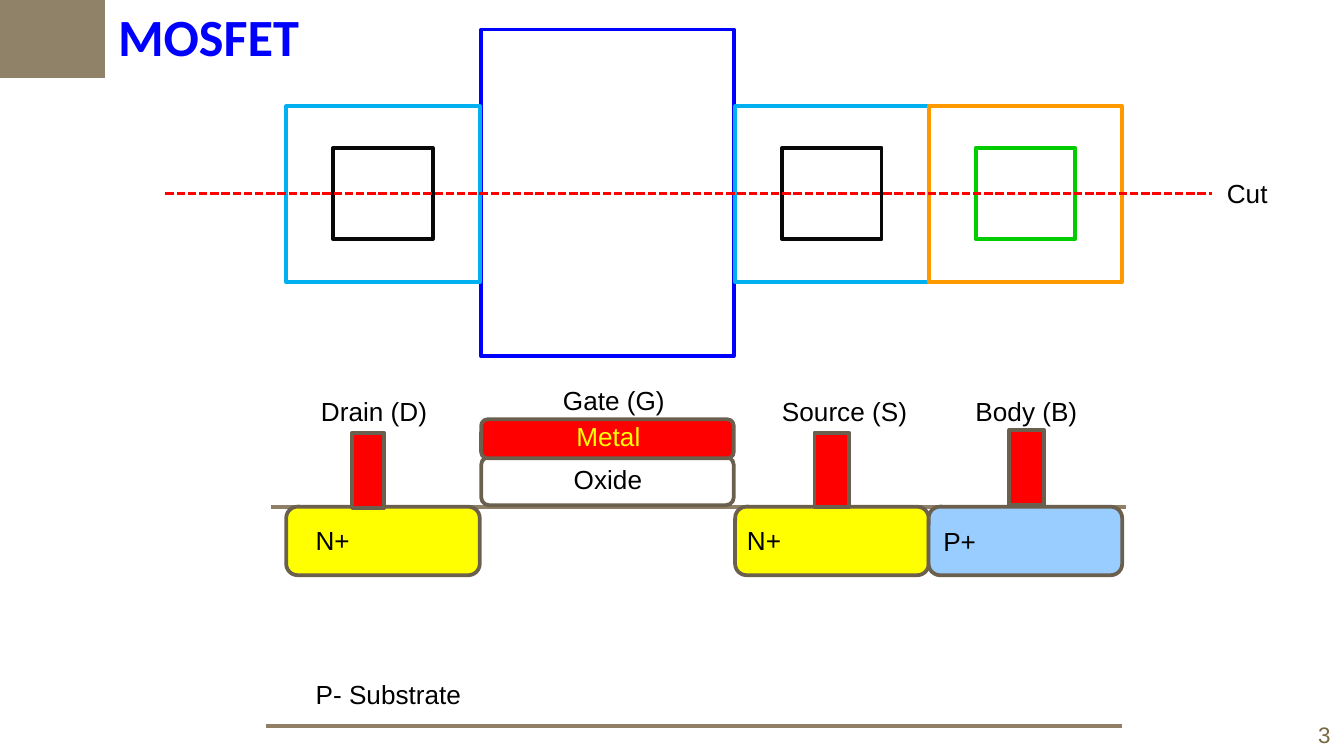
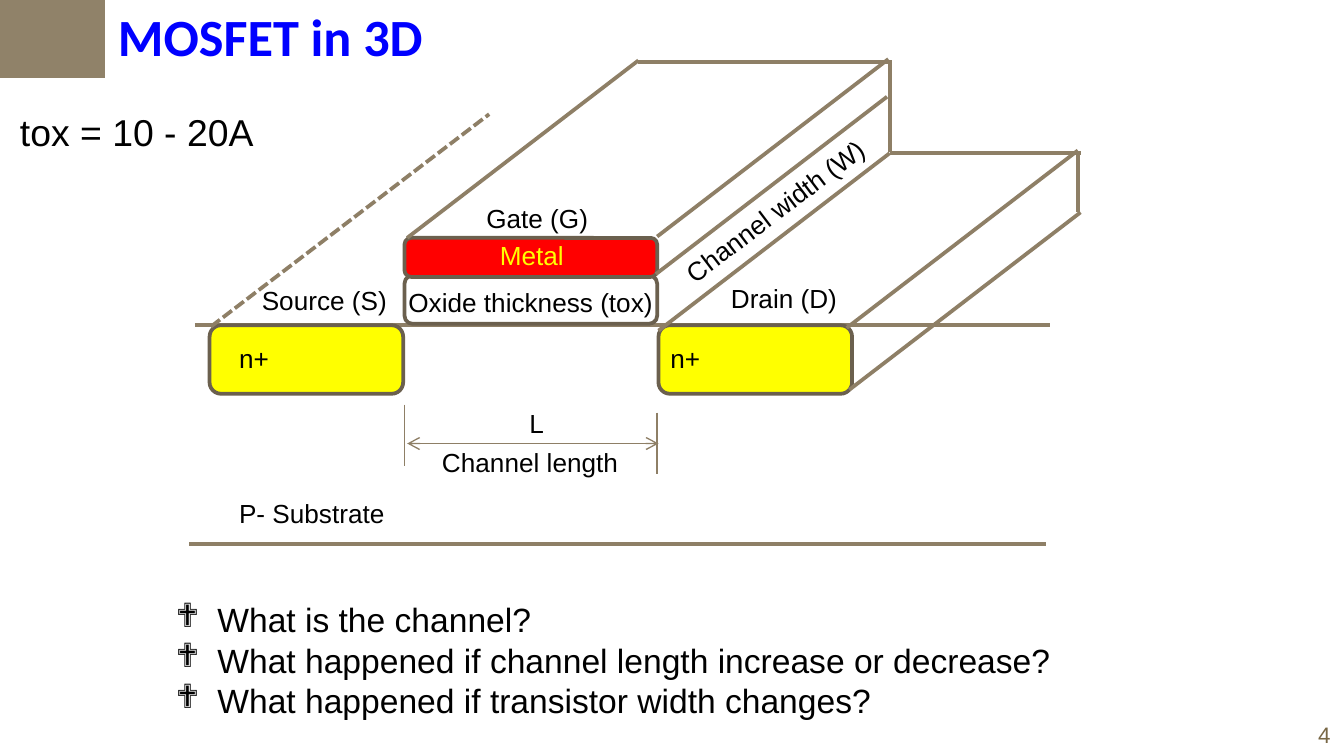
from lxml import etree
from pptx import Presentation
from pptx import util as u
from pptx.dml.color import RGBColor
from pptx.enum import dml, shapes, text
from pptx.oxml.ns import qn

COLORS = {
    "band": "908269", "number": "786745", "title": "0000FF", "ink": "000000",
    "edge": "6B604E", "rule": "8E7F66", "diffusion": "00B0F0", "contact": "080808",
    "gate": "0000FF", "body": "FF9900", "tap": "00CC00", "metal": "FF0000",
    "metal_text": "FFFF00", "n_well": "FFFF00", "p_well": "99CCFF",
}
RECT = shapes.MSO_SHAPE.RECTANGLE
ROUND = shapes.MSO_SHAPE.ROUNDED_RECTANGLE

WELL_W, WELL_H = 1.44, 0.51
GATE_W = 1.88
GATE_X = 1.45
RIGHT_WELL_X = 3.34
BODY_X = RIGHT_WELL_X + WELL_W
LABEL_H = 0.34
DEPTH = (1.72, -1.32)


def rgb(name):
    return RGBColor.from_string(COLORS[name])


def block(slide, x, y, w, h, fill=None, edge=None, kind=RECT):
    part = slide.shapes.add_shape(kind, u.Inches(x), u.Inches(y), u.Inches(w), u.Inches(h))
    part.shadow.inherit = False
    if fill:
        part.fill.solid()
        part.fill.fore_color.rgb = rgb(fill)
    else:
        part.fill.background()
    if edge:
        part.line.color.rgb = rgb(edge)
        part.line.width = u.Pt(2)
    else:
        part.line.fill.background()
    return part


def rule(slide, start, end, width=2.0, color="rule", dashed=False, arrows=False):
    ends = [u.Inches(v) for v in (*start, *end)]
    stroke = slide.shapes.add_connector(shapes.MSO_CONNECTOR.STRAIGHT, *ends)
    stroke.line.color.rgb = rgb(color)
    stroke.line.width = u.Pt(width)
    if dashed:
        stroke.line.dash_style = dml.MSO_LINE.SQUARE_DOT
    if arrows:
        ln = stroke.line._get_or_add_ln()
        for tag in ("a:headEnd", "a:tailEnd"):
            etree.SubElement(ln, qn(tag), type="arrow")
    etree.SubElement(stroke._element.spPr, qn("a:effectLst"))


def label(slide, x, y, w, *lines, h=LABEL_H, size=14, color="ink", font="Arial",
          bold=False, wrap=False, bullet=None):
    box = slide.shapes.add_textbox(u.Inches(x), u.Inches(y), u.Inches(w), u.Inches(h))
    frame = box.text_frame
    frame.word_wrap = wrap
    frame.auto_size = text.MSO_AUTO_SIZE.SHAPE_TO_FIT_TEXT
    for i, line in enumerate(lines):
        para = frame.add_paragraph() if i else frame.paragraphs[0]
        run = para.add_run()
        run.text = line
        run.font.size = u.Pt(size)
        run.font.name = font
        run.font.bold = bold
        run.font.color.rgb = rgb(color)
        if bullet:
            props = para._p.get_or_add_pPr()
            props.set("marL", str(u.Inches(0.31)))
            props.set("indent", str(-u.Inches(0.31)))
            tint = etree.SubElement(props, qn("a:buClr"))
            etree.SubElement(tint, qn("a:srgbClr"), val=COLORS[color])
            etree.SubElement(props, qn("a:buFont"), typeface="Wingdings")
            etree.SubElement(props, qn("a:buChar"), char=bullet)
    return box


def new_slide(deck, title, title_w, number):
    slide = deck.slides.add_slide(deck.slide_layouts[6])
    label(slide, 9.71, 5.32, 0.29, str(number), h=0.3, size=12, color="number")
    block(slide, 0, -0.02, 0.78, 0.6, fill="band")
    label(slide, 0.78, -0.02, title_w, title, h=0.57, size=28, color="title",
          font="Calibri", bold=True)
    return slide


def top_view(slide, left, top):
    regions = [
        (0, "diffusion", "contact"),
        (RIGHT_WELL_X, "diffusion", "contact"),
        (BODY_X, "body", "tap"),
    ]
    block(slide, left + GATE_X, top, GATE_W, 2.43, edge="gate")
    for x, outer, inner in regions:
        block(slide, left + x, top + 0.57, WELL_W, 1.31, edge=outer)
        block(slide, left + x + 0.35, top + 0.88, 0.74, 0.68, edge=inner)
    cut_y = top + 1.22
    rule(slide, (left - 0.9, cut_y), (left + 6.89, cut_y), 1.5, "metal", dashed=True)
    label(slide, left + 6.9, top + 1.05, 0.51, "Cut")


def cross_section(slide, left, top, doping, doping_w, oxide, oxide_x, oxide_y, oxide_w):
    rule(slide, (left - 0.11, top), (left + 6.25, top), 2.25)
    for x, label_x in ((0, 0.12), (RIGHT_WELL_X, RIGHT_WELL_X - 0.01)):
        block(slide, left + x, top, WELL_W, WELL_H, "n_well", "edge", ROUND)
        label(slide, left + label_x, top + 0.08, doping_w, doping)
    block(slide, left + GATE_X, top - 0.37, GATE_W, 0.36, None, "edge", ROUND)
    block(slide, left + GATE_X, top - 0.65, GATE_W, 0.29, "metal", "edge", ROUND)
    label(slide, left + oxide_x, top + oxide_y, oxide_w, oxide)
    label(slide, left + 2.06, top - 0.69, 0.68, "Metal", color="metal_text")
    label(slide, left + 1.96, top - 0.96, 0.96, "Gate (G)")
    rule(slide, (left - 0.15, top + 1.63), (left + 6.22, top + 1.63), 2.25)
    label(slide, left + 0.12, top + 1.23, 1.29, "P- Substrate")


def terminals(slide, left, top):
    block(slide, left + BODY_X, top, WELL_W, WELL_H, "p_well", "edge", ROUND)
    label(slide, left + BODY_X + 0.01, top + 0.09, 0.45, "P+")
    for x, y, w, h, name, name_x, name_w in (
        (0.49, -0.55, 0.24, 0.56, "Drain (D)", 0.16, 1.0),
        (3.93, -0.55, 0.26, 0.55, "Source (S)", 3.59, 1.14),
        (5.38, -0.57, 0.26, 0.56, "Body (B)", 5.03, 0.96),
    ):
        block(slide, left + x, top + y, w, h, "metal", "edge")
        label(slide, left + name_x, top - 0.88, name_w, name)


def depth_view(slide, left, top):
    front_corners = [(4.74, 0.02), (4.76, 0.48), (3.34, 0.04),
                     (3.32, -0.38), (3.33, -0.66), (1.47, -0.65)]
    for x, y in front_corners:
        start = (left + x, top + y)
        rule(slide, start, (start[0] + DEPTH[0], start[1] + DEPTH[1]))
    back_edges = [
        ((6.46, -1.29), (6.46, -0.84), 2),
        ((5.06, -1.28), (6.48, -1.28), 2.25),
        ((5.06, -1.97), (5.06, -1.29), 2),
        ((3.19, -1.96), (5.06, -1.96), 2.25),
    ]
    for (x1, y1), (x2, y2), width in back_edges:
        rule(slide, (left + x1, top + y1), (left + x2, top + y2), width)
    rule(slide, (left + 0.01, top + 0.01), (left + 2.08, top - 1.57), dashed=True)
    label(slide, left + 3.78, top - 0.37, 1.0, "Drain (D)")
    label(slide, left + 0.29, top - 0.35, 1.14, "Source (S)")
    channel_width = label(slide, left + 3.29, top - 1.07, 1.97, "Channel width (W)", wrap=True)
    channel_width.rotation = 322.8


def channel_length(slide, left, top):
    rule(slide, (left + 0.02, top + 0.29), (left + 1.89, top + 0.29), 0.75, arrows=True)
    for x, y in ((0, 0), (GATE_W, 0.06)):
        rule(slide, (left + x, top + y), (left + x, top + y + 0.46), 0.75)
    label(slide, left + 0.83, top - 0.03, 0.31, "L")
    label(slide, left + 0.18, top + 0.26, 1.52, "Channel length")


def questions(slide, left, top):
    label(slide, left, top, 6.77,
          "What is the channel?",
          "What happened if channel length increase or decrease?",
          "What happened if transistor width changes?",
          h=1.01, size=18, bullet="❖")


def main():
    deck = Presentation()
    deck.slide_width = u.Inches(10)
    deck.slide_height = deck.slide_width * 9 // 16

    planar = new_slide(deck, "MOSFET", 1.78, 3)
    top_view(planar, 2.13, 0.22)
    cross_section(planar, 2.13, 3.77, "N+", 0.46, "Oxide", 2.04, -0.37, 0.71)
    terminals(planar, 2.13, 3.77)

    solid = new_slide(deck, "MOSFET in 3D", 2.86, 4)
    cross_section(solid, 1.56, 2.42, "n+", 0.42, "Oxide thickness (tox)", 1.38, -0.34, 2.03)
    depth_view(solid, 1.56, 2.42)
    channel_length(solid, 3.01, 3.01)
    questions(solid, 1.21, 4.41)
    label(solid, 0.05, 0.76, 1.95, "tox = 10 - 20A", h=0.44, size=20)

    deck.save("out.pptx")


if __name__ == "__main__":
    main()
